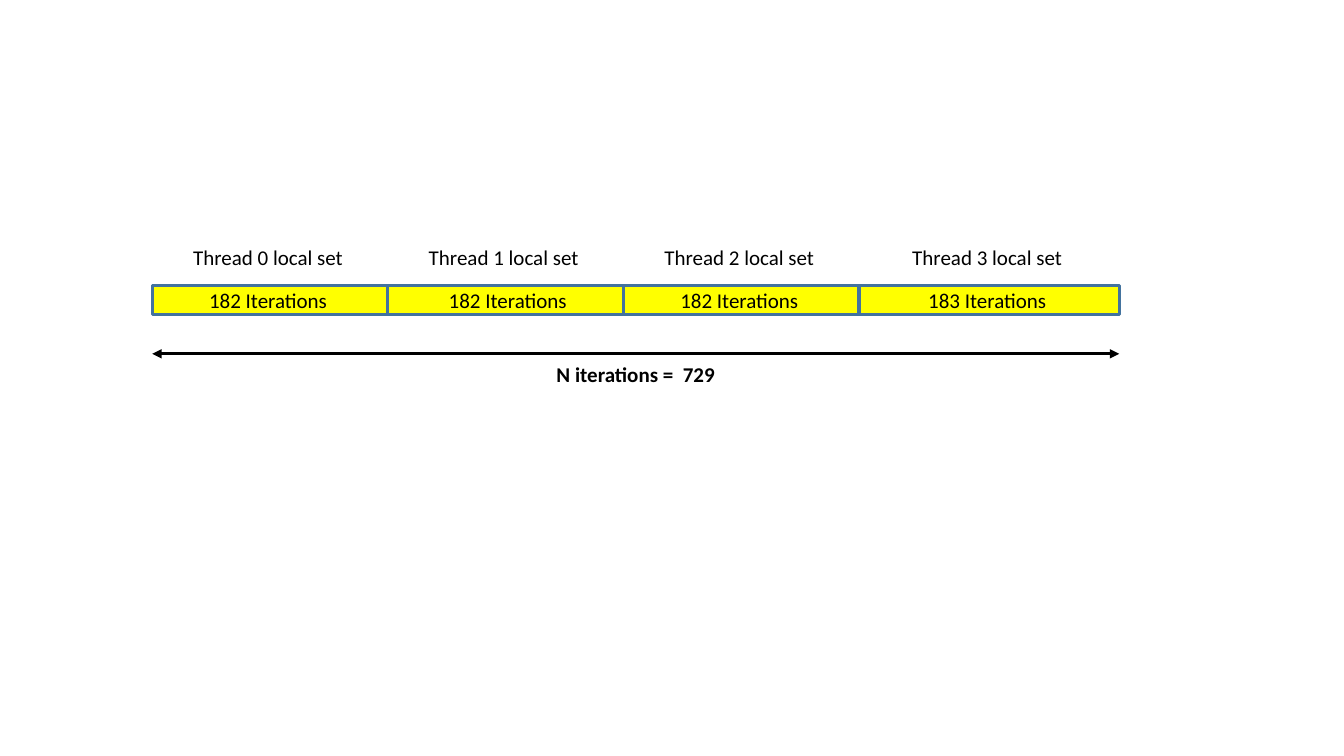
from dataclasses import dataclass

from lxml.etree import SubElement
from pptx import Presentation
from pptx.dml.color import RGBColor
from pptx.enum.shapes import MSO_CONNECTOR, MSO_SHAPE
from pptx.enum.text import MSO_AUTO_SIZE, PP_ALIGN
from pptx.oxml.ns import qn
from pptx.shapes.shapetree import GroupShapes
from pptx.util import Inches, Pt

COLORS = {"bar": "FFFF00", "outline": "43739E", "ink": "000000"}
FONT = "Calibri"
SLIDE_WIDTH, SLIDE_HEIGHT = 13.33, 7.5
RANGE_LEFT, RANGE_RIGHT = 1.51, 11.1
BAR_TOP, BAR_HEIGHT = 2.83, 0.29
LABEL_TOP, COUNT_TOP, TOTAL_TOP = 2.38, 2.8, 3.54
ARROW_Y = 3.51
TEXT_HEIGHT = 0.35
TEXT_SHIFT = -0.02
LINE_WIDTH = 2.25


@dataclass
class ThreadSet:
    iterations: int
    width: float
    count_shift: float = TEXT_SHIFT


THREAD_SETS = [
    ThreadSet(182, 2.337),
    ThreadSet(182, 2.337, count_shift=0.02),
    ThreadSet(182, 2.337),
    ThreadSet(183, 2.58),
]


def color(name: str) -> RGBColor:
    return RGBColor.from_string(COLORS[name])


def add_text(shapes: GroupShapes, text: str, *, center: float, top: float,
             width: float, size: float = 15, bold: bool = False) -> None:
    box = shapes.add_textbox(Inches(center - width / 2), Inches(top),
                             Inches(width), Inches(TEXT_HEIGHT))
    frame = box.text_frame
    frame.word_wrap = False
    frame.auto_size = MSO_AUTO_SIZE.SHAPE_TO_FIT_TEXT
    paragraph = frame.paragraphs[0]
    paragraph.alignment = PP_ALIGN.CENTER
    run = paragraph.add_run()
    run.text = text
    run.font.name = FONT
    run.font.size = Pt(size)
    run.font.bold = bold
    run.font.color.rgb = color("ink")


def add_bar(shapes: GroupShapes, left: float, width: float) -> None:
    bar = shapes.add_shape(MSO_SHAPE.RECTANGLE, Inches(left), Inches(BAR_TOP),
                           Inches(width), Inches(BAR_HEIGHT))
    bar.shadow.inherit = False
    bar.fill.solid()
    bar.fill.fore_color.rgb = color("bar")
    bar.line.color.rgb = color("outline")
    bar.line.width = Pt(LINE_WIDTH)


def add_range_arrow(shapes: GroupShapes) -> None:
    """Draw the double-headed arrow that spans all the thread sets."""
    arrow = shapes.add_connector(MSO_CONNECTOR.STRAIGHT,
                                 Inches(RANGE_LEFT), Inches(ARROW_Y),
                                 Inches(RANGE_RIGHT), Inches(ARROW_Y))
    arrow.line.color.rgb = color("ink")
    arrow.line.width = Pt(LINE_WIDTH)
    properties = arrow.line._get_or_add_ln()
    for end in ("a:headEnd", "a:tailEnd"):
        SubElement(properties, qn(end), type="triangle")
    SubElement(properties.getparent(), qn("a:effectLst"))


def main() -> None:
    presentation = Presentation()
    presentation.slide_width = Inches(SLIDE_WIDTH)
    presentation.slide_height = Inches(SLIDE_HEIGHT)
    slide = presentation.slides.add_slide(presentation.slide_layouts[6])
    diagram = slide.shapes.add_group_shape().shapes

    lefts = [RANGE_LEFT + sum(s.width for s in THREAD_SETS[:i])
             for i in range(len(THREAD_SETS))]
    for left, thread_set in zip(lefts, THREAD_SETS):
        add_bar(diagram, left, thread_set.width)
    for number, (left, thread_set) in enumerate(zip(lefts, THREAD_SETS)):
        center = left + thread_set.width / 2
        add_text(diagram, f"Thread {number} local set",
                 center=center + TEXT_SHIFT, top=LABEL_TOP, width=1.7)
        add_text(diagram, f"{thread_set.iterations} Iterations",
                 center=center + thread_set.count_shift, top=COUNT_TOP, width=1.39)

    add_range_arrow(diagram)
    total = sum(s.iterations for s in THREAD_SETS)
    add_text(diagram, f"N iterations =  {total}",
             center=(RANGE_LEFT + RANGE_RIGHT) / 2, top=TOTAL_TOP, width=1.79, bold=True)
    presentation.save("out.pptx")


if __name__ == "__main__":
    main()
